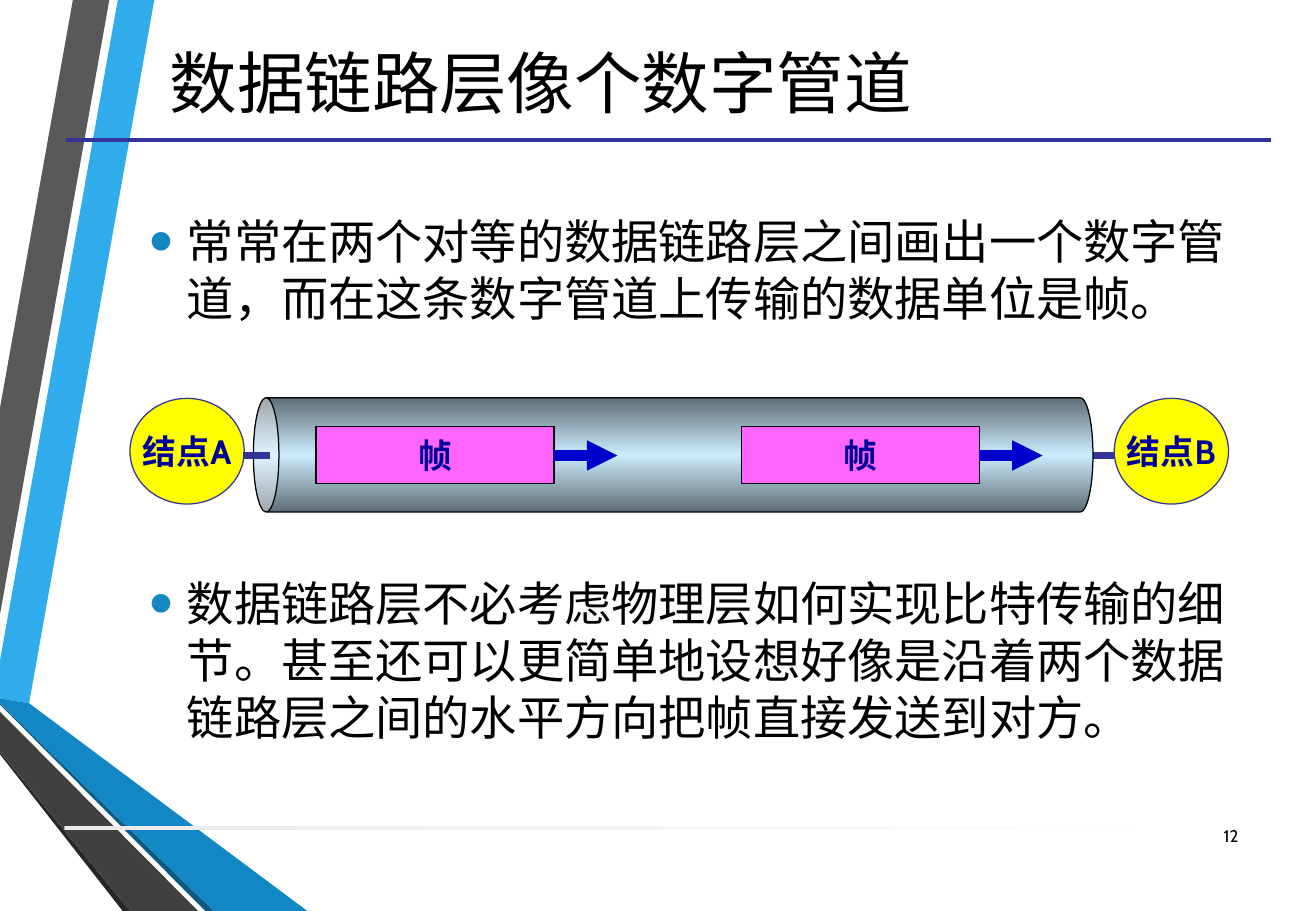
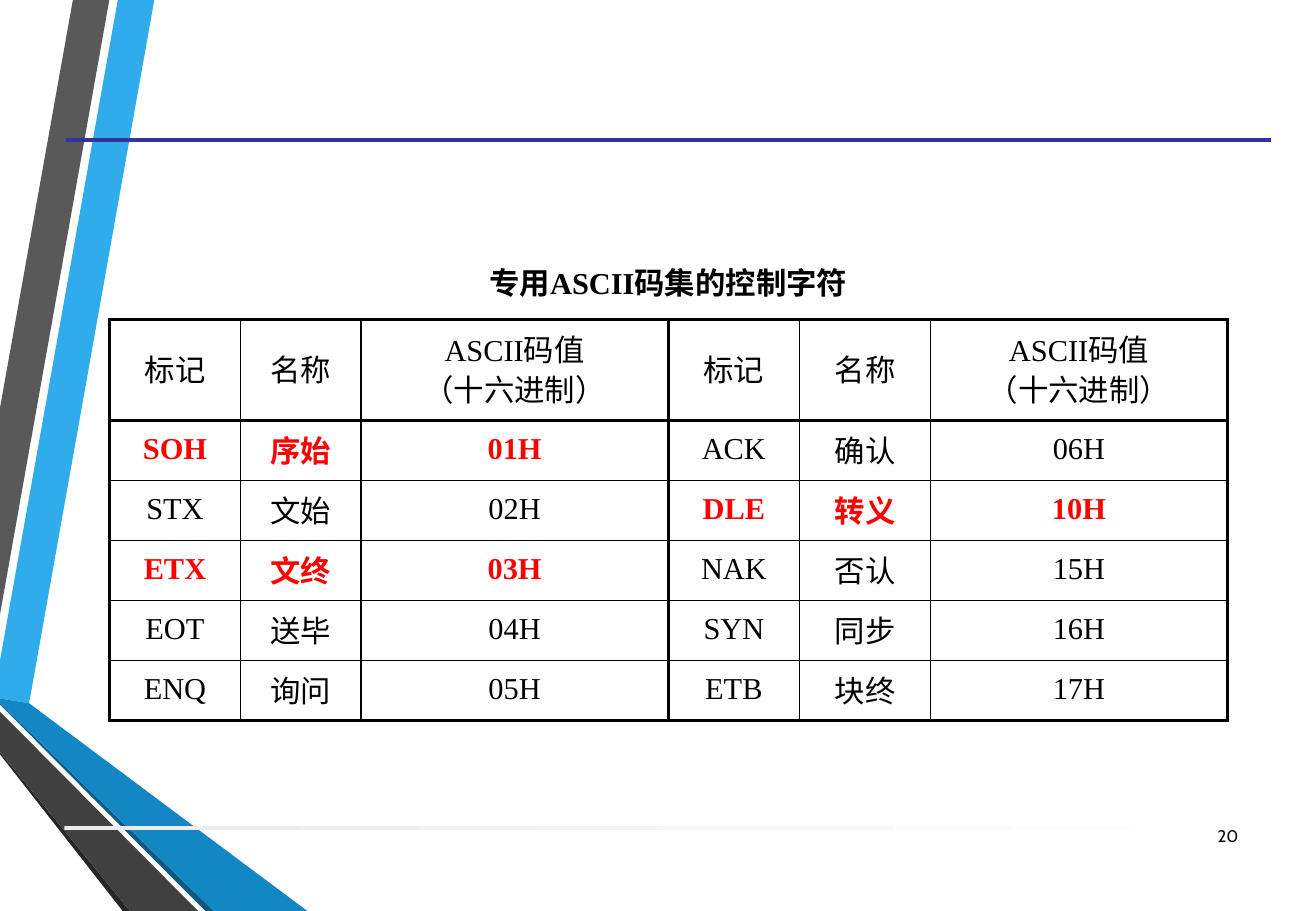
from lxml.etree import SubElement
from pptx import Presentation
from pptx.dml.color import RGBColor
from pptx.enum.shapes import MSO_CONNECTOR as Connector, MSO_SHAPE as Shape
from pptx.enum.text import MSO_ANCHOR as Anchor, PP_ALIGN as Align
from pptx.oxml.ns import qn
from pptx.util import Inches, Pt

BLACK = RGBColor(0, 0, 0)
WHITE = RGBColor(255, 255, 255)
RED = RGBColor(255, 0, 0)
YELLOW = RGBColor(255, 255, 0)
PINK = RGBColor(0xFF, 0x66, 0xFF)
NAVY = RGBColor(0, 0, 0x99)
INDIGO = RGBColor(0x33, 0x33, 0x99)
ARROW_BLUE = RGBColor(0, 0, 0xCC)
SKY = RGBColor(0x30, 0xAC, 0xEC)
BLUE = RGBColor(0x12, 0x87, 0xC3)
DEEP_BLUE = RGBColor(0x0C, 0x5A, 0x82)
GRAY = RGBColor(0x59, 0x59, 0x59)
DARK_GRAY = RGBColor(0x40, 0x40, 0x40)
CHARCOAL = RGBColor(0x26, 0x26, 0x26)
SILVER = RGBColor(0xEB, 0xEB, 0xEB)
PIPE_EDGE = RGBColor(0x5E, 0x6D, 0x75)
PIPE_SHINE = RGBColor(0xCC, 0xEC, 0xFF)

BODY_FONT = "Cabin"
TABLE_FONT = "Times New Roman"

BANDS = [
    (SKY, [(0, 5.44), (0, 5.75), (0.24, 5.79), (1.27, 0), (0.97, 0)]),
    (GRAY, [(0.9, 0), (0.6, 0), (0, 3.36), (0, 5.06)]),
    (CHARCOAL, [(0, 6.19), (0, 6.21), (1.01, 7.5), (1.07, 7.5)]),
    (DEEP_BLUE, [(0, 5.79), (0, 5.8), (1.69, 7.5), (1.76, 7.5)]),
    (BLUE, [(0, 5.79), (1.76, 7.5), (2.53, 7.5), (0.24, 5.79), (0, 5.75)]),
    (DARK_GRAY, [(0, 6.19), (1.07, 7.5), (1.63, 7.5), (0, 5.86)]),
]

TITLE = "数据链路层像个数字管道"
POINTS = [
    (1.7, 1.1, "常常在两个对等的数据链路层之间画出一个数字管道，而在这条数字管道上传输的数据单位是帧。"),
    (4.68, 1.6, "数据链路层不必考虑物理层如何实现比特传输的细节。甚至还可以更简单地设想好像是沿着"
                "两个数据链路层之间的水平方向把帧直接发送到对方。"),
]
NODES = [(1.07, "结点A"), (9.17, "结点B")]
FRAME = "帧"
FRAME_LEFTS = [2.6, 6.1]
FRAME_WIDTH = 1.96
ARROW_LENGTH = 0.52
PIPE_AXIS = 3.75

CAPTION = "专用ASCII码集的控制字符"
HEADINGS = ["标记", "名称", "ASCII码值\n（十六进制）"] * 2
CODES = [
    ["SOH", "序始", "01H", "ACK", "确认", "06H"],
    ["STX", "文始", "02H", "DLE", "转义", "10H"],
    ["ETX", "文终", "03H", "NAK", "否认", "15H"],
    ["EOT", "送毕", "04H", "SYN", "同步", "16H"],
    ["ENQ", "询问", "05H", "ETB", "块终", "17H"],
]
KEY_MARKS = {"SOH", "ETX", "DLE"}
COLUMN_WIDTHS = [1.08, 0.99, 2.53, 1.08, 1.08, 2.44]
ROW_HEIGHTS = [0.61, 0.83] + [0.495] * 5
THICK_COLUMN_EDGES = {0, 3, 6}
THICK_ROW_EDGES = {1, 2, 7}


def style(para, size, color=BLACK, bold=False, align=Align.LEFT, name=BODY_FONT):
    para.alignment = align
    font = para.font
    font.size, font.bold, font.name = Pt(size), bold, name
    font.color.rgb = color
    if name == BODY_FONT:
        SubElement(para._p.pPr.find(qn("a:defRPr")), qn("a:ea"), typeface=name)


def add_bullet(para):
    props = para._p.get_or_add_pPr()
    props.set("marL", str(Inches(0.31)))
    props.set("indent", str(-Inches(0.31)))
    SubElement(SubElement(props, qn("a:buClr")), qn("a:srgbClr"), val=str(BLUE))
    SubElement(props, qn("a:buSzPct"), val="145000")
    SubElement(props, qn("a:buFont"), typeface="Arial")
    SubElement(props, qn("a:buChar"), char="•")


def add_text(page, area, text, size, align=Align.LEFT, anchor=Anchor.MIDDLE, bullet=False):
    box = page.shapes.add_textbox(*map(Inches, area))
    frame = box.text_frame
    frame.word_wrap = True
    frame.vertical_anchor = anchor
    para = frame.paragraphs[0]
    para.text = text
    if bullet:
        add_bullet(para)
    style(para, size, align=align)


def paint(shape, fill, outline=None):
    shape.shadow.inherit = False
    if isinstance(fill, list):
        shape.fill.gradient()
        shape.fill.gradient_angle = 0
        stops = shape._element.spPr.find(qn("a:gradFill")).find(qn("a:gsLst"))
        stops.clear()
        for index, color in enumerate(fill):
            stop = SubElement(stops, qn("a:gs"), pos=str(index * 100000 // (len(fill) - 1)))
            SubElement(stop, qn("a:srgbClr"), val=str(color))
    else:
        shape.fill.solid()
        shape.fill.fore_color.rgb = fill
    if outline is None:
        shape.line.fill.background()
    else:
        shape.line.color.rgb = outline
        shape.line.width = Pt(0.75)


def add_shape(page, kind, area, fill, outline=None, label=None):
    shape = page.shapes.add_shape(kind, *map(Inches, area))
    paint(shape, fill, outline)
    if label:
        frame = shape.text_frame
        frame.word_wrap = False
        frame.vertical_anchor = Anchor.MIDDLE
        frame.paragraphs[0].text = label
        style(frame.paragraphs[0], 20, NAVY, True, Align.CENTER)
    return shape


def add_line(page, left, right, y, color, width, arrow=False):
    line = page.shapes.add_connector(
        Connector.STRAIGHT, Inches(left), Inches(y), Inches(right), Inches(y))
    line.line.color.rgb = color
    line.line.width = Pt(width)
    if arrow:
        SubElement(line.line._get_or_add_ln(), qn("a:tailEnd"), type="triangle")
    SubElement(line._element.spPr, qn("a:effectLst"))


def add_page(deck, number):
    page = deck.slides.add_slide(deck.slide_layouts[6])
    for color, points in BANDS:
        start, *rest = [(Inches(x), Inches(y)) for x, y in points]
        outline = page.shapes.build_freeform(*start, scale=1.0)
        outline.add_line_segments(rest, close=True)
        paint(outline.convert_to_shape(), color)
    add_shape(page, Shape.RECTANGLE, (0.53, 6.8, 9.75, 0.03), [SILVER, WHITE])
    add_line(page, 0.54, 10.46, 1.15, INDIGO, 2.25)
    add_text(page, (9.78, 6.68, 0.51, 0.4), str(number), 10, Align.RIGHT)
    return page


def draw_pipe(page):
    for left, label in NODES:
        add_shape(page, Shape.OVAL, (left, 3.28, 0.94, 0.87), YELLOW, INDIGO, label)
    add_line(page, 2, 9.17, PIPE_AXIS, INDIGO, 4.5)
    pipe = add_shape(page, Shape.CAN, (5.07, 0.29, 0.94, 6.91),
                     [PIPE_EDGE, PIPE_SHINE, PIPE_EDGE], BLACK)
    pipe.adjustments[0] = 0.224
    pipe.rotation = 270
    add_line(page, 2, 2.22, PIPE_AXIS, INDIGO, 4.5)
    for left in FRAME_LEFTS:
        right = left + FRAME_WIDTH
        add_shape(page, Shape.RECTANGLE, (left, 3.51, FRAME_WIDTH, 0.47), PINK, BLACK, FRAME)
        add_line(page, right, right + ARROW_LENGTH, PIPE_AXIS, ARROW_BLUE, 6, arrow=True)


def set_borders(cell, row, column):
    thick_edges = {
        "L": column in THICK_COLUMN_EDGES, "R": column + 1 in THICK_COLUMN_EDGES,
        "T": row in THICK_ROW_EDGES, "B": row + 1 in THICK_ROW_EDGES,
    }
    props = cell._tc.get_or_add_tcPr()
    for side, thick in thick_edges.items():
        border = SubElement(props, qn(f"a:ln{side}"), w=str(Pt(2 if thick else 1)))
        if row == 0 and side != "B":
            SubElement(border, qn("a:noFill"))
        else:
            SubElement(SubElement(border, qn("a:solidFill")), qn("a:srgbClr"), val=str(BLACK))


def draw_table(page):
    rows = [[CAPTION] + [""] * 5, HEADINGS] + CODES
    table = page.shapes.add_table(
        len(rows), len(COLUMN_WIDTHS), Inches(0.9), Inches(2.02),
        Inches(sum(COLUMN_WIDTHS)), Inches(sum(ROW_HEIGHTS))).table
    table.first_row = table.horz_banding = False
    for column, width in zip(table.columns, COLUMN_WIDTHS):
        column.width = Inches(width)
    for row, height in zip(table.rows, ROW_HEIGHTS):
        row.height = Inches(height)
    table.cell(0, 0).merge(table.cell(0, len(COLUMN_WIDTHS) - 1))
    for r, texts in enumerate(rows):
        for c, text in enumerate(texts):
            cell = table.cell(r, c)
            set_borders(cell, r, c)
            if r == 0:
                cell.fill.background()
            else:
                cell.fill.solid()
                cell.fill.fore_color.rgb = WHITE
            cell.vertical_anchor = Anchor.MIDDLE
            cell.margin_left = cell.margin_right = Inches(0.09)
            cell.margin_top = cell.margin_bottom = Inches(0.04)
            if not text:
                continue
            key = texts[c // 3 * 3] in KEY_MARKS
            cell.text = text
            for para in cell.text_frame.paragraphs:
                para.line_spacing = 0.9
                style(para, 18, RED if key else BLACK, key or r == 0, Align.CENTER, TABLE_FONT)


def main():
    deck = Presentation()
    deck.slide_width, deck.slide_height = Inches(10.83), Inches(7.5)

    page = add_page(deck, 12)
    add_text(page, (0.36, 0.05, 8.18, 1.24), TITLE, 40, Align.CENTER)
    for top, height, text in POINTS:
        add_text(page, (1.13, top, 9.13, height), text, 28, anchor=Anchor.TOP, bullet=True)
    draw_pipe(page)

    draw_table(add_page(deck, 20))
    deck.save("out.pptx")


if __name__ == "__main__":
    main()
